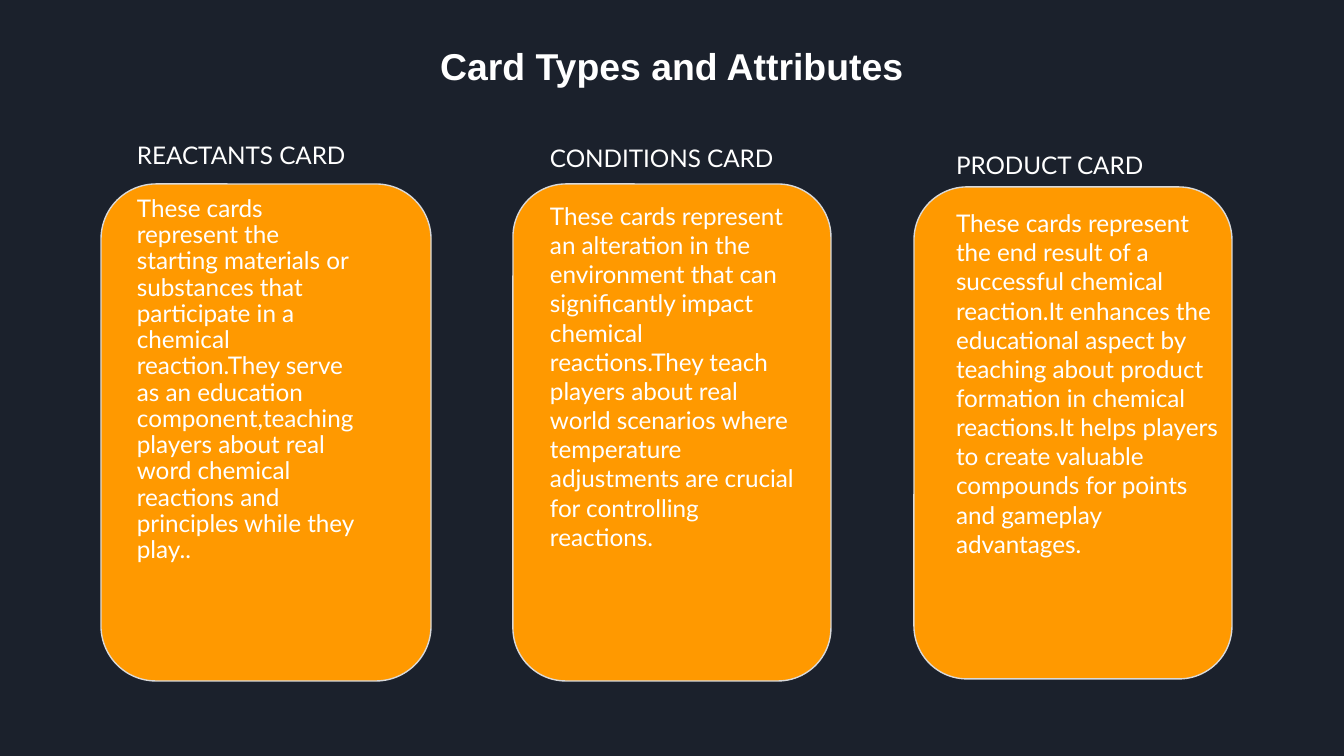
from pptx import Presentation
from pptx.dml.color import RGBColor as RGB
from pptx.enum.shapes import MSO_SHAPE as SHAPE
from pptx.enum.text import MSO_ANCHOR as ANCHOR, MSO_AUTO_SIZE as FIT, PP_ALIGN as ALIGN
from pptx.util import Pt

TITLE = "Card Types and Attributes"
CARDS = [
    dict(head="REACTANTS CARD",
         body="These cards represent the starting materials or substances that participate in a "
              "chemical reaction.They serve as an education component,teaching players about real "
              "word chemical reactions and principles while they play..",
         card=(101, 184, 330, 497), text=(124, 131, 243, 450), spacing=0.9),
    dict(head="CONDITIONS CARD",
         body="These cards represent an alteration in the environment that can significantly impact "
              "chemical reactions.They teach players about real world scenarios where temperature "
              "adjustments are crucial for controlling reactions.",
         card=(513, 184, 318, 497), text=(537, 130, 271, 450), spacing=1.0),
    dict(head="PRODUCT CARD",
         body="These cards represent the end result of a successful chemical reaction.It enhances "
              "the educational aspect by teaching about product formation in chemical reactions.It "
              "helps players to create valuable compounds for points and gameplay advantages.",
         card=(914, 187, 318, 492), text=(943, 137, 290, 431), spacing=1.0),
]
THEME = dict(back=RGB(0x1B, 0x21, 0x2C), card=RGB(0xFF, 0x99, 0x00),
             edge=RGB(0xD9, 0xD9, 0xD9), text=RGB(0xFF, 0xFF, 0xFF),
             title_font="Arial", body_font="Lato", title_size=20, body_size=13,
             line_height=1.2)
INSET = 13


def px(n):
    return round(n * 914400 / 134.4)


def box(items):
    return [px(n) for n in items]


def style(p, font, size, spacing, bold=False):
    p.line_spacing = spacing
    p.font.name, p.font.size, p.font.bold = font, Pt(size), bold
    p.font.color.rgb = THEME["text"]


def setup(tf):
    tf.word_wrap, tf.auto_size = True, FIT.NONE
    tf.vertical_anchor = ANCHOR.TOP
    tf.margin_left = tf.margin_right = tf.margin_top = tf.margin_bottom = px(INSET)


def add_title(s):
    sp = s.shapes.title
    sp.left, sp.top, sp.width, sp.height = box((322, 23, 700, 74))
    tf = sp.text_frame
    setup(tf)
    tf.text = TITLE
    p = tf.paragraphs[0]
    p.alignment = ALIGN.CENTER
    style(p, THEME["title_font"], THEME["title_size"], 1.15, bold=True)


def add_card(s, item):
    sp = s.shapes.add_shape(SHAPE.ROUNDED_RECTANGLE, *box(item["card"]))
    sp.shadow.inherit = False
    sp.fill.solid()
    sp.fill.fore_color.rgb = THEME["card"]
    sp.line.color.rgb, sp.line.width = THEME["edge"], Pt(0.75)

    tf = s.shapes.add_textbox(*box(item["text"])).text_frame
    setup(tf)
    head, body = tf.paragraphs[0], tf.add_paragraph()
    head.text, body.text = item["head"], item["body"]
    for p in (head, body):
        style(p, THEME["body_font"], THEME["body_size"], item["spacing"])
    body.space_before = Pt(round(THEME["body_size"] * THEME["line_height"] * item["spacing"], 1))


def main():
    prs = Presentation()
    prs.slide_width, prs.slide_height = px(1344), px(756)
    s = prs.slides.add_slide(prs.slide_layouts[5])
    s.background.fill.solid()
    s.background.fill.fore_color.rgb = THEME["back"]
    add_title(s)
    for item in CARDS:
        add_card(s, item)
    prs.save("out.pptx")


if __name__ == "__main__":
    main()
